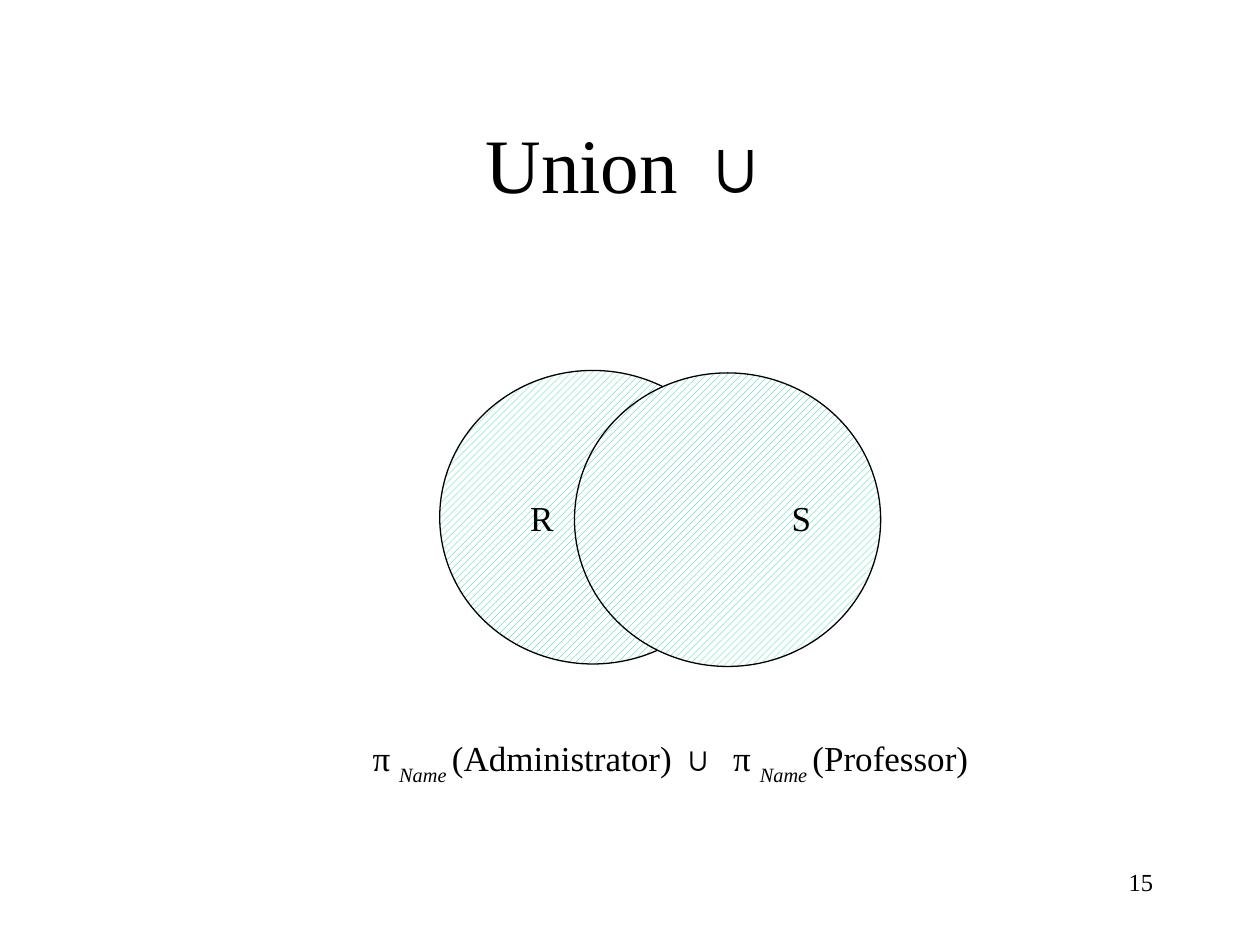
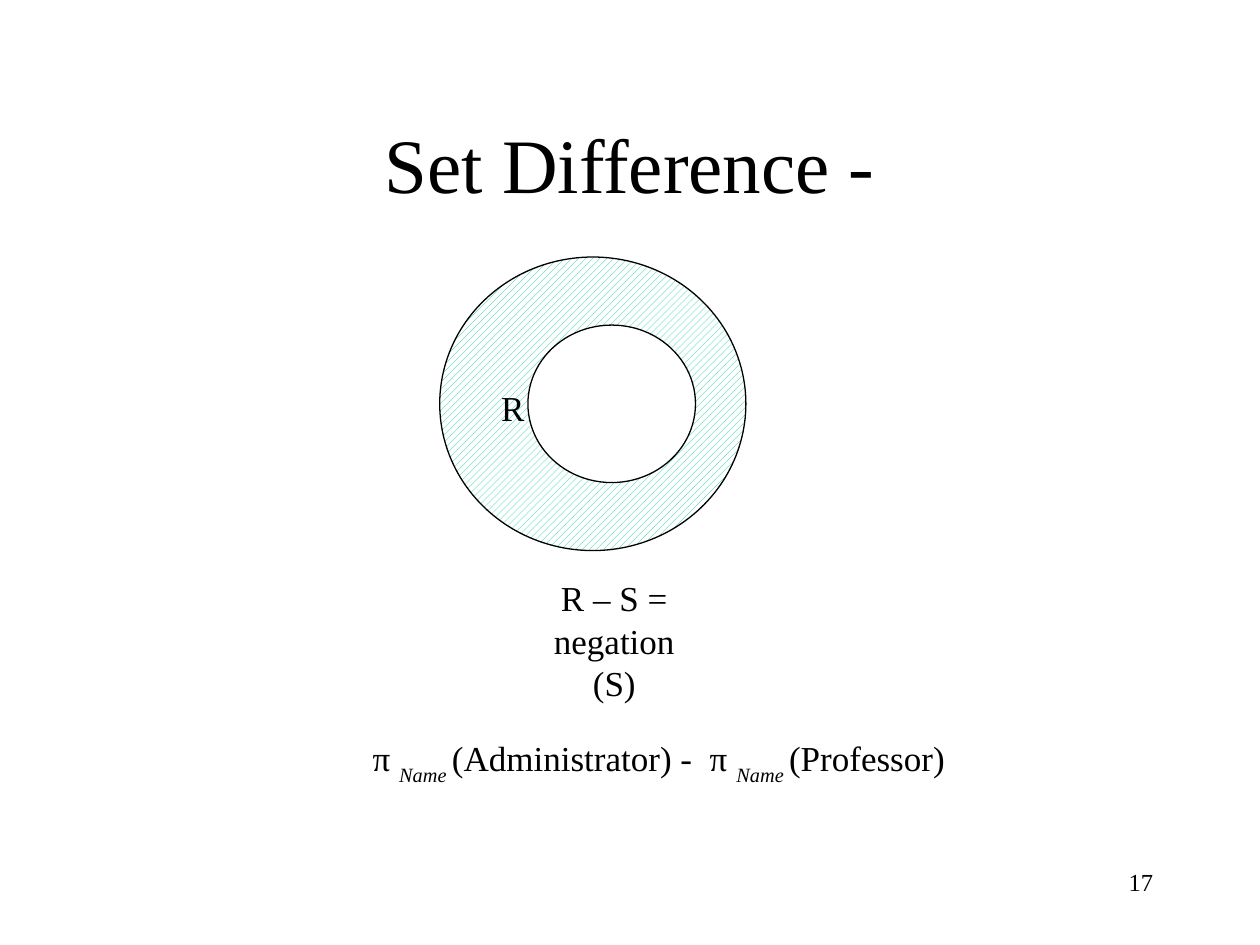
from pptx import Presentation
from pptx.dml.color import RGBColor
from pptx.enum.dml import MSO_PATTERN
from pptx.enum.shapes import MSO_SHAPE as SHAPE
from pptx.enum.text import MSO_ANCHOR as ANCHOR, MSO_AUTO_SIZE as AUTO_SIZE, PP_ALIGN as ALIGN
from pptx.util import Inches, Pt

FONT = "Times New Roman"
BLACK, WHITE, GREEN = "000000", "FFFFFF", "00CC99"
TITLE_SIZE, BODY_SIZE, NUMBER_SIZE = 44, 20, 14
TITLE_BOX = (0.75, 0.67, 8.5, 1.25)
FORMULA_BOX = (2.86, 5.8, 5.08, 0.44)
NUMBER_BOX = (7.17, 6.83, 2.08, 0.5)
SET_SIZE = (2.43, 2.33)
LABEL_SIZE = (0.36, 0.44)

SLIDES = [
    {
        "title": "Union ∪",
        "number": "15",
        "operator": "∪",
        "sets": [(3.49, 2.94), (4.56, 2.96)],
        "labels": [("R", 4.11, 3.89), ("S", 6.18, 3.89)],
    },
    {
        "title": "Set Difference -",
        "number": "17",
        "operator": "-",
        "sets": [(3.49, 2.04)],
        "labels": [("R", 3.88, 3.02)],
        "note": ("R – S = negation(S)", (4.27, 4.53, 1.21, 1.11)),
        "removed_set": (4.19, 2.58, 1.33, 1.25),
    },
]


def color(value):
    return RGBColor.from_string(value)


def inches(box):
    return [Inches(length) for length in box]


def add_run(paragraph, text, size, subscript=False):
    run = paragraph.add_run()
    run.text = text
    run.font.name = FONT
    run.font.size = Pt(size)
    run.font.color.rgb = color(BLACK)
    if subscript:
        run.font.italic = True
        run.font._element.set("baseline", "-30000")


def add_text(slide, box, runs, size=BODY_SIZE, align=ALIGN.CENTER, wrap=False):
    shape = slide.shapes.add_textbox(*inches(box))
    shape.text_frame.word_wrap = wrap
    paragraph = shape.text_frame.paragraphs[0]
    paragraph.alignment = align
    for text, subscript in runs:
        add_run(paragraph, text, size, subscript)
    return shape


def add_ellipse(slide, box, hatched):
    shape = slide.shapes.add_shape(SHAPE.OVAL, *inches(box))
    shape.shadow.inherit = False
    shape.line.color.rgb = color(BLACK)
    shape.line.width = Pt(0.75)
    if hatched:
        shape.fill.patterned()
        shape.fill.pattern = MSO_PATTERN.WIDE_UPWARD_DIAGONAL
        shape.fill.fore_color.rgb = color(GREEN)
        shape.fill.back_color.rgb = color(WHITE)
    else:
        shape.fill.solid()
        shape.fill.fore_color.rgb = color(WHITE)


def set_title(slide, text):
    title = slide.shapes.title
    title.left, title.top, title.width, title.height = inches(TITLE_BOX)
    frame = title.text_frame
    frame.auto_size = AUTO_SIZE.NONE
    frame.vertical_anchor = ANCHOR.MIDDLE
    frame.paragraphs[0].alignment = ALIGN.CENTER
    add_run(frame.paragraphs[0], text, TITLE_SIZE)


def formula_runs(operator):
    return [
        ("π ", False),
        ("Name ", True),
        (f"(Administrator) {operator}  π ", False),
        ("Name ", True),
        ("(Professor)", False),
    ]


def build_slide(presentation, content):
    slide = presentation.slides.add_slide(presentation.slide_layouts[5])
    set_title(slide, content["title"])
    for position in content["sets"]:
        add_ellipse(slide, position + SET_SIZE, hatched=True)
    for name, left, top in content["labels"]:
        add_text(slide, (left, top) + LABEL_SIZE, [(name, False)])
    add_text(slide, FORMULA_BOX, formula_runs(content["operator"]), align=ALIGN.LEFT)
    if "note" in content:
        text, box = content["note"]
        note = add_text(slide, box, [(text, False)], wrap=True)
        note.fill.solid()
        note.fill.fore_color.rgb = color(WHITE)
    if "removed_set" in content:
        add_ellipse(slide, content["removed_set"], hatched=False)
    add_text(slide, NUMBER_BOX, [(content["number"], False)], NUMBER_SIZE, ALIGN.RIGHT, wrap=True)


def main():
    presentation = Presentation()
    presentation.slide_width, presentation.slide_height = Inches(10), Inches(7.5)
    for content in SLIDES:
        build_slide(presentation, content)
    presentation.save("out.pptx")


if __name__ == "__main__":
    main()
